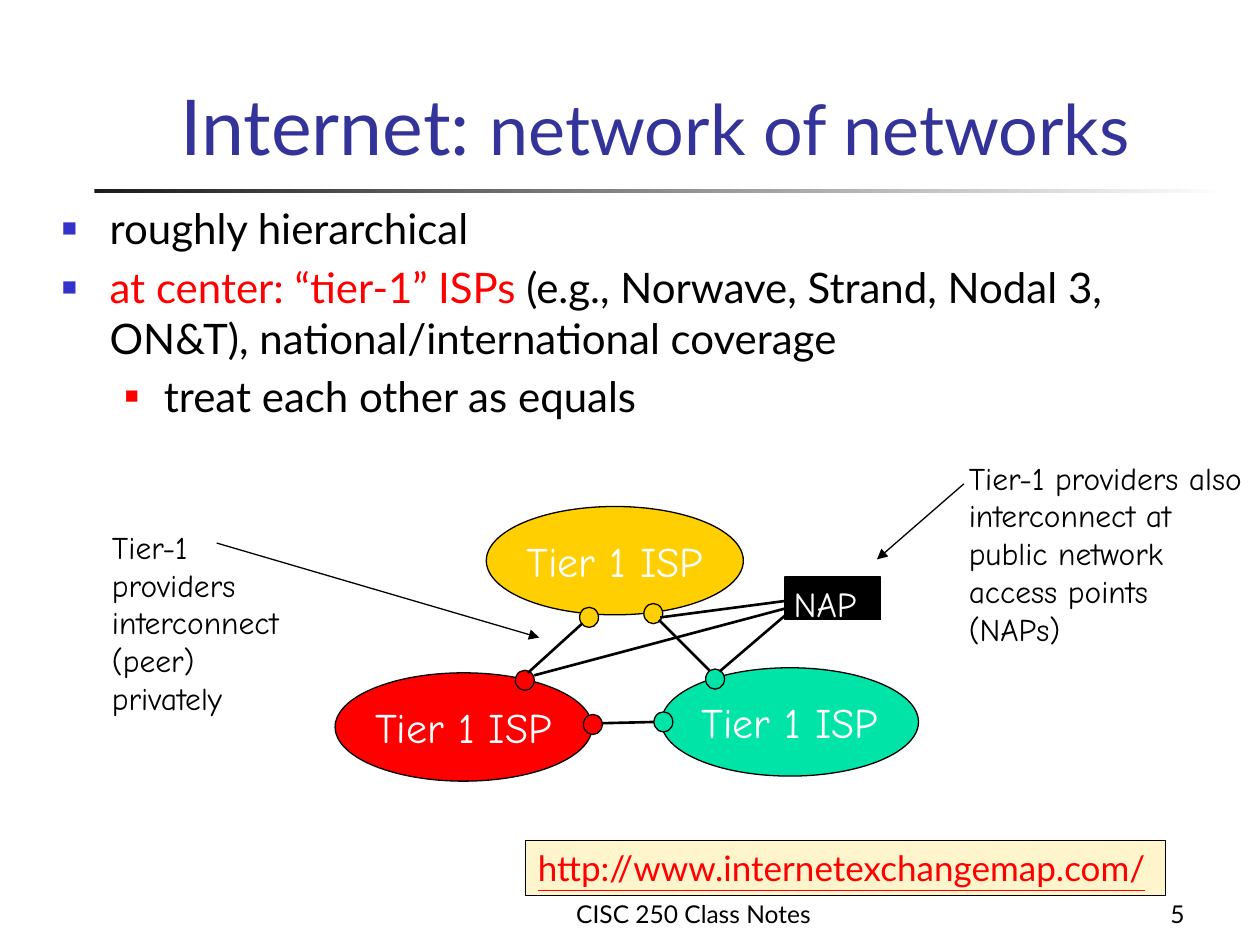
from lxml.etree import SubElement
from pptx import Presentation
from pptx.dml.color import RGBColor
from pptx.enum.shapes import MSO_CONNECTOR as Connector, MSO_SHAPE as Shape
from pptx.enum.text import MSO_ANCHOR as Anchor, MSO_AUTO_SIZE as Fit, PP_ALIGN as Align
from pptx.oxml.ns import qn
from pptx.util import Inches, Pt

BLACK = RGBColor(0x00, 0x00, 0x00)
WHITE = RGBColor(0xFF, 0xFF, 0xFF)
CHARCOAL = RGBColor(0x1C, 0x1C, 0x1C)
RED = RGBColor(0xFF, 0x00, 0x00)
YELLOW = RGBColor(0xFF, 0xCF, 0x01)
GREEN = RGBColor(0x00, 0xE4, 0xA8)
CREAM = RGBColor(0xFF, 0xF5, 0xCC)
BLUE = RGBColor(0x33, 0x33, 0xCC)
NAVY = RGBColor(0x33, 0x33, 0x99)
BODY_FONT, SKETCH_FONT = "Lato", "Comic Neue"


def write(para, text, size=24, color=BLACK, font=BODY_FONT, underline=None, align=Align.LEFT):
    """Add a formatted span of text to a paragraph."""
    para.alignment = align
    span = para.add_run()
    span.text = text
    span.font.size = Pt(size)
    span.font.name = font
    span.font.color.rgb = color
    span.font.underline = underline


class Page:
    """Draw elements on a slide with a grid of 100 columns by 75 rows."""

    def __init__(self, deck):
        """Open a title and content slide."""
        self.column = deck.slide_width / 100
        self.row = deck.slide_height / 75
        self.slide = deck.slides.add_slide(deck.slide_layouts[1])
        self.shapes = self.slide.shapes

    def grid(self, *lengths):
        """Turn alternating columns and rows into slide lengths."""
        return [round(length * (self.row if i % 2 else self.column))
                for i, length in enumerate(lengths)]

    def place(self, holder, at, anchor):
        """Move a placeholder and return its text frame."""
        holder.left, holder.top, holder.width, holder.height = self.grid(*at)
        frame = holder.text_frame
        frame.auto_size = Fit.NONE
        frame.vertical_anchor = anchor
        return frame

    def title(self, at, spans):
        """Fill the title placeholder with (text, size) spans."""
        para = self.place(self.shapes.title, at, Anchor.BOTTOM).paragraphs[0]
        for text, size in spans:
            write(para, text, size=size, color=NAVY)

    def bullets(self, at, items):
        """Fill the body placeholder with (level, spans) items."""
        frame = self.place(self.slide.placeholders[1], at, Anchor.TOP)
        styles = [(0.38, 0.38, BLUE, 60), (0.81, 0.31, RED, 55)]
        for i, (level, spans) in enumerate(items):
            para = frame.add_paragraph() if i else frame.paragraphs[0]
            margin, hanging, color, share = styles[level]
            para.level = level
            props = para._p.get_or_add_pPr()
            props.set("marL", str(Inches(margin)))
            props.set("indent", str(-Inches(hanging)))
            SubElement(SubElement(props, qn("a:buClr")), qn("a:srgbClr"), val=str(color))
            SubElement(props, qn("a:buSzPct"), val=str(share * 1000))
            SubElement(props, qn("a:buFont"), typeface="Arial")
            SubElement(props, qn("a:buChar"), char="■")
            para.space_before = Pt(4.8 if i else 0)
            for text, text_color in spans:
                write(para, text, color=text_color)

    def text(self, at, text, wrap=True, anchor=Anchor.TOP, fill=None, **style):
        """Add a text box, filled and outlined if a fill is given."""
        box = self.shapes.add_textbox(*self.grid(*at))
        frame = box.text_frame
        frame.word_wrap = wrap
        frame.vertical_anchor = anchor
        write(frame.paragraphs[0], text, **style)
        if fill is not None:
            self.outline(box, fill)

    def outline(self, box, fill):
        """Give a box a flat fill and a thin black line."""
        box.fill.solid()
        box.fill.fore_color.rgb = fill
        box.line.color.rgb = BLACK
        box.line.width = Pt(0.75)

    def shape(self, kind, at, fill, text=""):
        """Add an outlined preset shape, with centred text if given."""
        shape = self.shapes.add_shape(kind, *self.grid(*at))
        shape.shadow.inherit = False
        self.outline(shape, fill)
        if text:
            frame = shape.text_frame
            frame.word_wrap = False
            frame.vertical_anchor = Anchor.MIDDLE
            write(frame.paragraphs[0], text, color=WHITE, font=SKETCH_FONT, align=Align.CENTER)

    def rule(self, at):
        """Add a bar that fades from charcoal to white."""
        bar = self.shapes.add_shape(Shape.RECTANGLE, *self.grid(*at))
        bar.shadow.inherit = False
        bar.line.fill.background()
        bar.fill.gradient()
        bar.fill.gradient_angle = 0
        for stop, color, position in zip(bar.fill.gradient_stops, (CHARCOAL, WHITE), (0, 1)):
            stop.color.rgb = color
            stop.position = position

    def line(self, ends, width=1.5, arrow=False):
        """Add a straight black line, with an arrowhead if asked."""
        line = self.shapes.add_connector(Connector.STRAIGHT, *self.grid(*ends))
        line.line.color.rgb = BLACK
        line.line.width = Pt(width)
        if arrow:
            SubElement(line._element.spPr.find(qn("a:ln")), qn("a:tailEnd"), type="triangle")
        SubElement(line._element.spPr, qn("a:effectLst"))


def main():
    """Build the slide about tier-1 networks."""
    deck = Presentation()
    deck.slide_width, deck.slide_height = Inches(10), Inches(7.5)
    page = Page(deck)

    page.rule((7.5, 15, 90, 0.3))
    page.title((13.3, 2.5, 82.8, 11.6), [("Internet: ", 44), ("network of networks", 40)])
    page.bullets((3.9, 15.6, 92.3, 50.8), [
        (0, [("roughly hierarchical", BLACK)]),
        (0, [("at center: “tier-1” ISPs ", RED),
             ("(e.g., Norwave, Strand, Nodal 3, ON&T), national/international coverage", BLACK)]),
        (1, [("treat each other as equals", BLACK)]),
    ])

    providers = [
        (RED, (26.6, 53.4), [(40.9, 53.2), (46.3, 56.7)]),
        (YELLOW, (38.6, 40.2), [(51.1, 47.9), (46, 48.2)]),
        (GREEN, (52.5, 53), [(56, 53.1), (51.9, 56.5)]),
    ]
    for color, corner, _ in providers:
        page.shape(Shape.OVAL, (*corner, 20.4, 8.6), color, "Tier 1 ISP")
    for color, _, peers in providers:
        for peer in peers:
            page.shape(Shape.OVAL, (*peer, 1.5, 1.6), color)

    page.shape(Shape.RECTANGLE, (62.3, 45.8, 7.6, 3.4), BLACK)
    page.text((62, 45.7, 7.7, 4.3), "NAP", wrap=False, size=20, color=WHITE, font=SKETCH_FONT)

    peer_links = [(47.8, 57.4, 51.9, 57.3), (52.3, 49.2, 56.3, 53.2), (41.9, 53.4, 46.2, 49.5)]
    nap_links = [(62.6, 48.6, 57.1, 53.3), (62.3, 47.7, 52.4, 49), (62.3, 48.3, 42.4, 53.6)]
    for ends in peer_links + nap_links:
        page.line(ends)

    notes = [
        ((7.9, 41.4, 17.1, 16), "Tier-1 providers interconnect (peer) privately",
         (17.2, 43.1, 42.8, 50.6)),
        ((75.9, 35.9, 24.1, 16),
         "Tier-1 providers also interconnect at public network access points (NAPs)",
         (76.5, 38.4, 69.6, 44.4)),
    ]
    for at, text, ends in notes:
        page.text(at, text, size=18, font=SKETCH_FONT)
        page.line(ends, width=0.75, arrow=True)

    page.text((41.7, 66.7, 50.8, 4.4), "http://www.internetexchangemap.com/", fill=CREAM,
              size=20, color=RED, underline=True)
    page.text((34.2, 69.2, 41.7, 5), "CISC 250 Class Notes", anchor=Anchor.BOTTOM,
              size=14, align=Align.CENTER)
    page.text((85.8, 69.2, 9.2, 5), "5", anchor=Anchor.BOTTOM, size=14, align=Align.RIGHT)
    deck.save("out.pptx")


if __name__ == "__main__":
    main()
